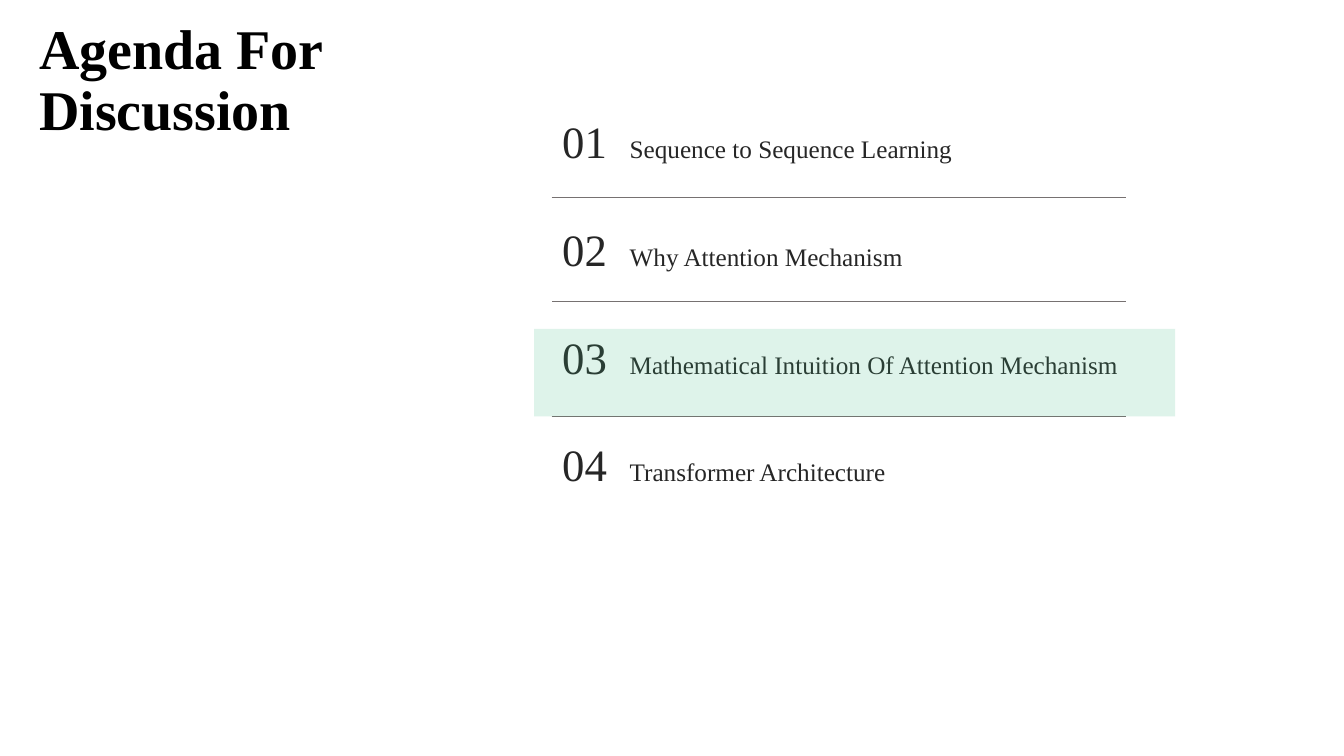
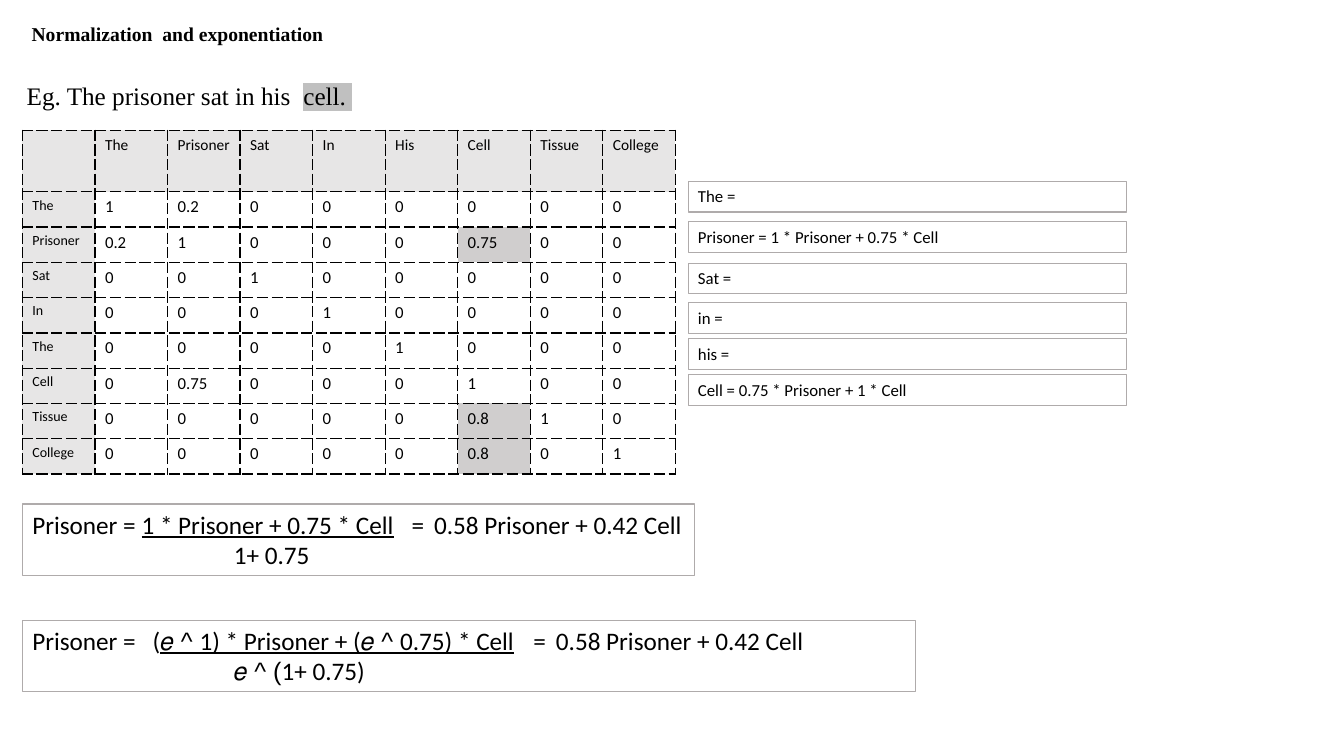
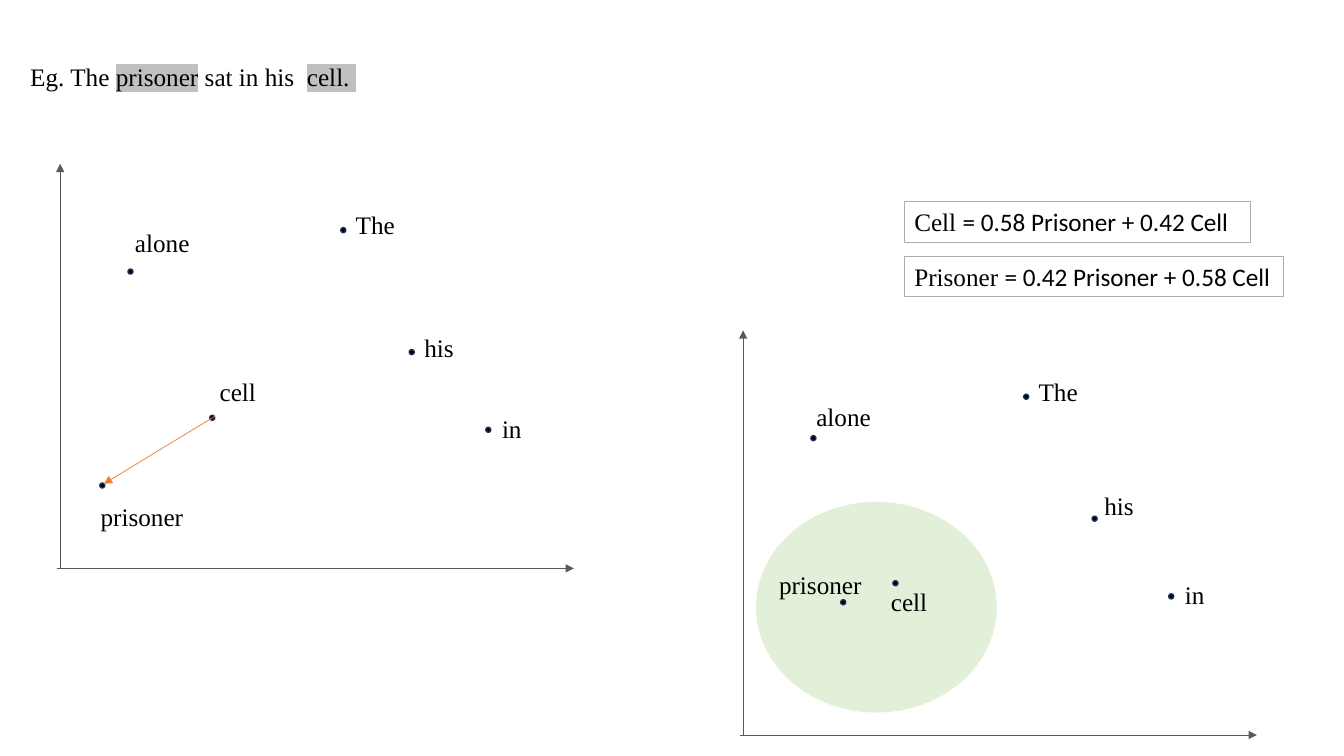
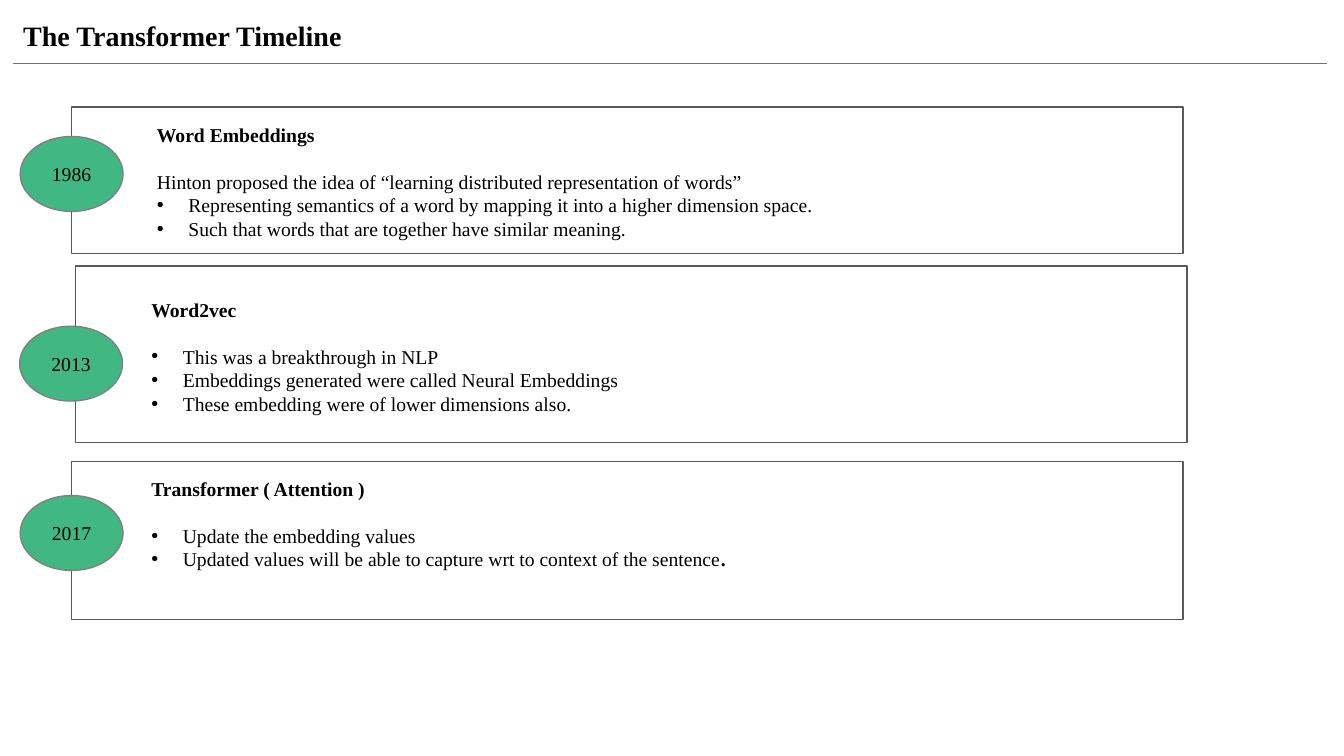
from pptx import Presentation
from pptx.dml.color import RGBColor
from pptx.enum.shapes import MSO_CONNECTOR, MSO_SHAPE
from pptx.enum.text import MSO_ANCHOR, PP_ALIGN
from pptx.oxml.ns import qn
from pptx.oxml.xmlchemy import OxmlElement
from pptx.util import Pt

BLACK = RGBColor(0x00, 0x00, 0x00)
INK = RGBColor(0x26, 0x26, 0x26)
RULE = RGBColor(0x76, 0x71, 0x71)
AXIS = RGBColor(0x59, 0x59, 0x59)
FRAME = RGBColor(0xAF, 0xAB, 0xAB)
GREEN = RGBColor(0x41, 0xB8, 0x83)
PALE_GREEN = RGBColor(0xE2, 0xF0, 0xD9)
BADGE_EDGE = RGBColor(0x80, 0x80, 0x80)
NAVY = RGBColor(0x1E, 0x32, 0x56)
ORANGE = RGBColor(0xED, 0x7D, 0x31)
HEADER_GRAY = RGBColor(0xE7, 0xE6, 0xE6)
CELL_GRAY = RGBColor(0xD0, 0xCE, 0xCE)
MARKER_GRAY = RGBColor(0xC0, 0xC0, 0xC0)

SERIF = "Times New Roman"
SANS = "Calibri"
ITALIC_E = {"font": "Arial"}


def add_xml(parent, tag, **attributes):
    child = OxmlElement(tag)
    for key, value in attributes.items():
        child.set(key, str(value))
    parent.append(child)
    return child


def write(paragraph, text, size=18, font=SERIF, color=BLACK, bold=False,
          underline=False, highlight=None):
    run = paragraph.add_run()
    run.text = text
    style = run.font
    style.size, style.name, style.bold = Pt(size), font, bold
    style.color.rgb = color
    if underline:
        style.underline = True
    if highlight is not None:
        marker = OxmlElement("a:highlight")
        add_xml(marker, "a:srgbClr", val=highlight)
        run._r.get_or_add_rPr().find(qn("a:solidFill")).addnext(marker)


class Deck:
    def __init__(self):
        self.presentation = Presentation()
        self.presentation.slide_width = Pt(960)
        self.presentation.slide_height = Pt(540)
        self.slide = None

    def new_slide(self):
        layout = self.presentation.slide_layouts[6]
        self.slide = self.presentation.slides.add_slide(layout)

    def text(self, x, y, width, height, paragraphs, outline=None, **style):
        box = self.slide.shapes.add_textbox(Pt(x), Pt(y), Pt(width), Pt(height))
        frame = box.text_frame
        frame.word_wrap = True
        if outline is not None:
            box.line.color.rgb, box.line.width = outline, Pt(0.75)
        if isinstance(paragraphs, str):
            paragraphs = [paragraphs]
        for index, content in enumerate(paragraphs):
            paragraph = frame.add_paragraph() if index else frame.paragraphs[0]
            runs = [(content, {})] if isinstance(content, str) else content
            for words, changes in runs:
                write(paragraph, words, **{**style, **changes})
        return frame

    def heading(self, x, y, width, height, words, size):
        return self.text(x, y, width, height, words, size=size, bold=True)

    def tabs(self, paragraph, *stops):
        tab_list = add_xml(paragraph._p.get_or_add_pPr(), "a:tabLst")
        for stop in stops:
            add_xml(tab_list, "a:tab", pos=int(Pt(stop)), algn="l")

    def bullet(self, paragraph):
        properties = paragraph._p.get_or_add_pPr()
        properties.set("marL", str(int(Pt(22.5))))
        properties.set("indent", str(int(Pt(-22.5))))
        add_xml(properties, "a:buFont", typeface="Arial")
        add_xml(properties, "a:buChar", char="•")

    def shape(self, kind, x, y, width, height, fill=None, outline=None, alpha=None):
        shape = self.slide.shapes.add_shape(kind, Pt(x), Pt(y), Pt(width), Pt(height))
        shape.shadow.inherit = False
        if fill is None:
            shape.fill.background()
        else:
            shape.fill.solid()
            shape.fill.fore_color.rgb = fill
        if alpha:
            tint = shape.element.spPr.find(qn("a:solidFill")).find(qn("a:srgbClr"))
            add_xml(tint, "a:alpha", val=alpha * 1000)
        if outline is None:
            shape.line.fill.background()
        else:
            shape.line.color.rgb, shape.line.width = outline, Pt(1)
        return shape

    def line(self, x1, y1, x2, y2, color=RULE, arrow=False):
        line = self.slide.shapes.add_connector(
            MSO_CONNECTOR.STRAIGHT, Pt(x1), Pt(y1), Pt(x2), Pt(y2))
        line.line.color.rgb, line.line.width = color, Pt(0.5)
        properties = line.element.spPr
        if arrow:
            add_xml(properties.find(qn("a:ln")), "a:tailEnd", type="triangle")
        add_xml(properties, "a:effectLst")

    def cell(self, cell, words, size, fill):
        if words:
            write(cell.text_frame.paragraphs[0], words, size=size, font=SANS)
        properties = cell._tc.get_or_add_tcPr()
        for side in ("a:lnL", "a:lnR", "a:lnT", "a:lnB"):
            border = add_xml(properties, side, w=int(Pt(1)))
            add_xml(add_xml(border, "a:solidFill"), "a:srgbClr", val=BLACK)
            add_xml(border, "a:prstDash", val="sysDash")
        if fill is None:
            cell.fill.background()
        else:
            cell.fill.solid()
            cell.fill.fore_color.rgb = fill

    def matrix(self, x, y, rows, shaded, column_width, header_height, row_height):
        height = header_height + row_height * (len(rows) - 1)
        table = self.slide.shapes.add_table(
            len(rows), len(rows[0]), Pt(x), Pt(y),
            Pt(column_width * len(rows[0])), Pt(height)).table
        table.first_row = table.horz_banding = False
        for column in table.columns:
            column.width = Pt(column_width)
        for r, row in enumerate(rows):
            table.rows[r].height = Pt(row_height if r else header_height)
            for c, words in enumerate(row):
                size = 11 if r == 0 else 10 if c == 0 else 12
                header = r == 0 or c == 0
                fill = HEADER_GRAY if header else CELL_GRAY if (r, c) in shaded else None
                self.cell(table.cell(r, c), words, size, fill)

    def axes(self, x, y):
        self.line(x, y, x, y - 289, AXIS, arrow=True)
        self.line(x - 2.5, y, x + 367, y, AXIS, arrow=True)

    def word(self, origin, name, dot, label):
        x, y = origin
        self.shape(MSO_SHAPE.OVAL, x + dot[0], y + dot[1], 3.6, 3.6, BLACK, NAVY)
        self.text(x + label[0], y + label[1], LABEL_WIDTHS[name], 29, name)

    def milestone(self, year, badge, frame, body, title, lines):
        self.shape(MSO_SHAPE.RECTANGLE, *frame, outline=AXIS)
        oval = self.shape(MSO_SHAPE.OVAL, *badge, 73.5, 53.5, GREEN, BADGE_EDGE)
        oval.text_frame.vertical_anchor = MSO_ANCHOR.MIDDLE
        label = oval.text_frame.paragraphs[0]
        label.alignment = PP_ALIGN.CENTER
        write(label, year, size=14)
        paragraphs = [[(title, {"bold": True})], *lines]
        frame = self.text(*body, paragraphs, size=14)
        frame.paragraphs[0].space_after = Pt(16.7)
        for paragraph in frame.paragraphs[1:]:
            if not paragraph.text.startswith("Hinton"):
                self.bullet(paragraph)


LABEL_WIDTHS = {"The": 59, "in": 29, "his": 39, "alone": 70, "cell": 53, "prisoner": 83.5}


def agenda(deck):
    deck.new_slide()
    title = deck.heading(21, 39.5, 393, 38, "Agenda For Discussion", 40)
    title.vertical_anchor = MSO_ANCHOR.MIDDLE
    title.paragraphs[0].line_spacing = 0.9
    topics = ["Sequence to Sequence Learning", "Why Attention Mechanism",
              "Mathematical Intuition Of Attention Mechanism", "Transformer Architecture"]
    entries = [[(f"{number:02}\t", {"size": 32}), (topic, {})]
               for number, topic in enumerate(topics, 1)]
    listing = deck.text(394.5, 78, 480, 356, entries, color=INK)
    for index, paragraph in enumerate(listing.paragraphs):
        if index:
            paragraph.space_before = Pt(38.4)
        deck.tabs(paragraph, 48.2)
    for x, y in ((394, 141), (394.5, 215.5), (394, 297.5)):
        deck.line(x, y, x + 410, y)
    deck.shape(MSO_SHAPE.RECTANGLE, 381.5, 235, 458, 62.5, GREEN, alpha=17)


def normalization(deck):
    deck.new_slide()
    deck.heading(15.5, 12, 280, 24.5, "Normalization  and exponentiation", 14)
    deck.text(12, 54, 480, 29, [[("Eg. The prisoner sat in his  ", {}),
                                 ("cell. ", {"highlight": MARKER_GRAY})]])
    weights = [
        ["", "The", "Prisoner", "Sat", "In", "His", "Cell", "Tissue", "College"],
        ["The", "1", "0.2", "0", "0", "0", "0", "0", "0"],
        ["Prisoner", "0.2", "1", "0", "0", "0", "0.75", "0", "0"],
        ["Sat", "0", "0", "1", "0", "0", "0", "0", "0"],
        ["In", "0", "0", "0", "1", "0", "0", "0", "0"],
        ["The", "0", "0", "0", "0", "1", "0", "0", "0"],
        ["Cell", "0", "0.75", "0", "0", "0", "1", "0", "0"],
        ["Tissue", "0", "0", "0", "0", "0", "0.8", "1", "0"],
        ["College", "0", "0", "0", "0", "0", "0.8", "0", "1"],
    ]
    deck.matrix(16, 93, weights, {(2, 6), (7, 6), (8, 6)}, 51.84, 44, 25.2)
    equations = [(129.5, "The ="), (158.5, "Prisoner = 1 * Prisoner + 0.75 * Cell"),
                 (188, "Sat ="), (216, "in ="), (242, "his ="),
                 (267.5, "Cell = 0.75 * Prisoner + 1 * Cell")]
    for y, equation in equations:
        deck.text(491.5, y, 313, 22, equation, FRAME, size=12, font=SANS)
    line_under = {"underline": True}
    result = ("\t=\t0.58 Prisoner + 0.42 Cell", {})
    power = ("𝑒 ^ ", {**ITALIC_E, **line_under})
    plain = [[("Prisoner = ", {}), ("1 * Prisoner + 0.75 * Cell", line_under), result],
             "\t1+ 0.75"]
    exponential = [[("Prisoner =\t(", {}), power, ("1) * Prisoner + (", line_under),
                    power, ("0.75) * Cell", line_under), result],
                   [("\t", {}), ("𝑒 ^ (", ITALIC_E), ("1+ 0.75)", {})]]
    for y, width, fraction, stops in ((360, 480, plain, (271, 287)),
                                      (443, 638, exponential, (86, 358, 374))):
        frame = deck.text(16, y, width, 51, fraction, FRAME, font=SANS)
        deck.tabs(frame.paragraphs[0], *stops)
        deck.tabs(frame.paragraphs[1], 144)


def embedding_space(deck):
    deck.new_slide()
    marked = {"highlight": MARKER_GRAY}
    deck.text(14.5, 40.5, 480, 29, [[("Eg. The ", {}), ("prisoner", marked),
                                     (" sat in his  ", {}), ("cell. ", marked)]])
    before, after = (43, 406), (530.8, 525)
    for origin in (before, after):
        deck.axes(*origin)
        deck.word(origin, "The", (200.4, -243.4), (204, -260))
        deck.word(origin, "in", (304, -100.8), (308.5, -114.5))
    deck.shape(MSO_SHAPE.OVAL, 540, 358.5, 172, 150.5, PALE_GREEN)
    words = [
        ("his", (249.3, -156.3), (253, -172), (249.3, -156.3), (251, -178)),
        ("alone", (48.4, -213.8), (46.3, -247), (48.4, -213.8), (45.2, -242)),
        ("cell", (106.8, -109.4), (106.8, -141), (107, -110.2), (98.5, -109.6)),
        ("prisoner", (28.3, -61), (21.8, -51.8), (69.7, -96.6), (18.6, -121.8)),
    ]
    for name, dot, label, moved_dot, moved_label in words:
        deck.word(before, name, dot, label)
        deck.word(after, name, moved_dot, moved_label)
    deck.line(153.4, 297.4, 74.2, 345.6, ORANGE, arrow=True)
    mixtures = [(144, 247, "Cell ", "= 0.58 Prisoner + 0.42 Cell"),
                (183, 271, "Prisoner ", "= 0.42 Prisoner + 0.58 Cell")]
    for y, width, name, mixture in mixtures:
        deck.text(646, y, width, 29, [[(name, {}), (mixture, {"font": SANS})]], FRAME)


def timeline(deck):
    deck.new_slide()
    deck.heading(9.5, 9.5, 392, 31.5, "The Transformer Timeline", 20)
    deck.line(9.5, 45, 948, 45)
    deck.milestone("1986", (14.4, 97.5), (51, 76.5, 794, 104.5), (105, 84, 591, 92),
                   "Word Embeddings", [
        "Hinton proposed the idea of “learning distributed representation of words”",
        "Representing semantics of a word by mapping it into a higher dimension space.",
        "Such that words that are together have similar meaning."])
    deck.milestone("2013", (14, 233), (54, 190, 794, 126), (101, 209, 591, 92),
                   "Word2vec", [
        "This was a breakthrough in NLP",
        "Embeddings generated were called Neural Embeddings",
        "These embedding were of lower dimensions also."])
    deck.milestone("2017", (14.4, 354), (51, 329.5, 794, 113), (101, 337, 591, 75),
                   "Transformer ( Attention )", [
        "Update the embedding values",
        [("Updated values will be able to capture wrt to context of the sentence", {}),
         (".", {"bold": True})]])


def main():
    deck = Deck()
    for build in (agenda, normalization, embedding_space, timeline):
        build(deck)
    deck.presentation.save("out.pptx")


if __name__ == "__main__":
    main()
